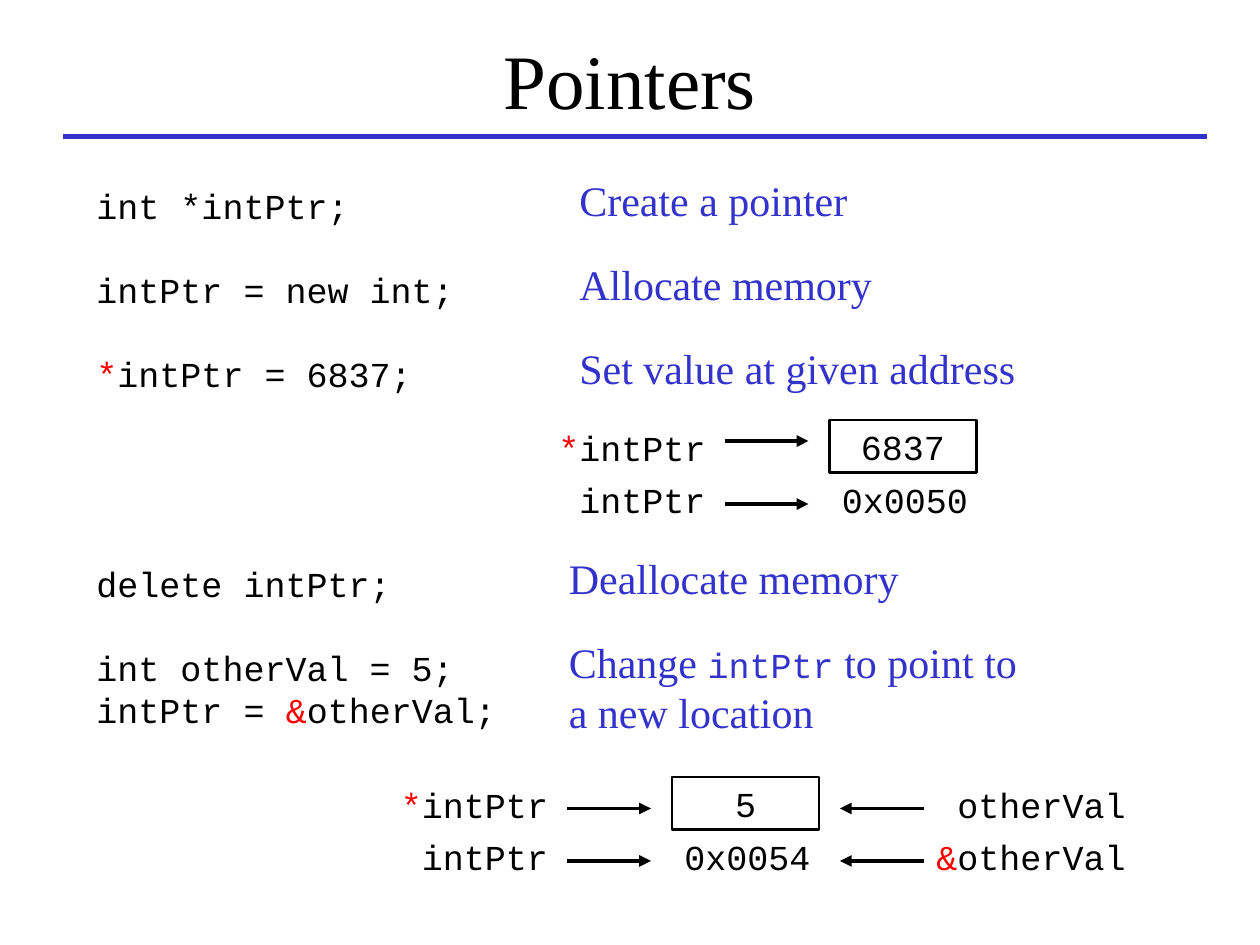
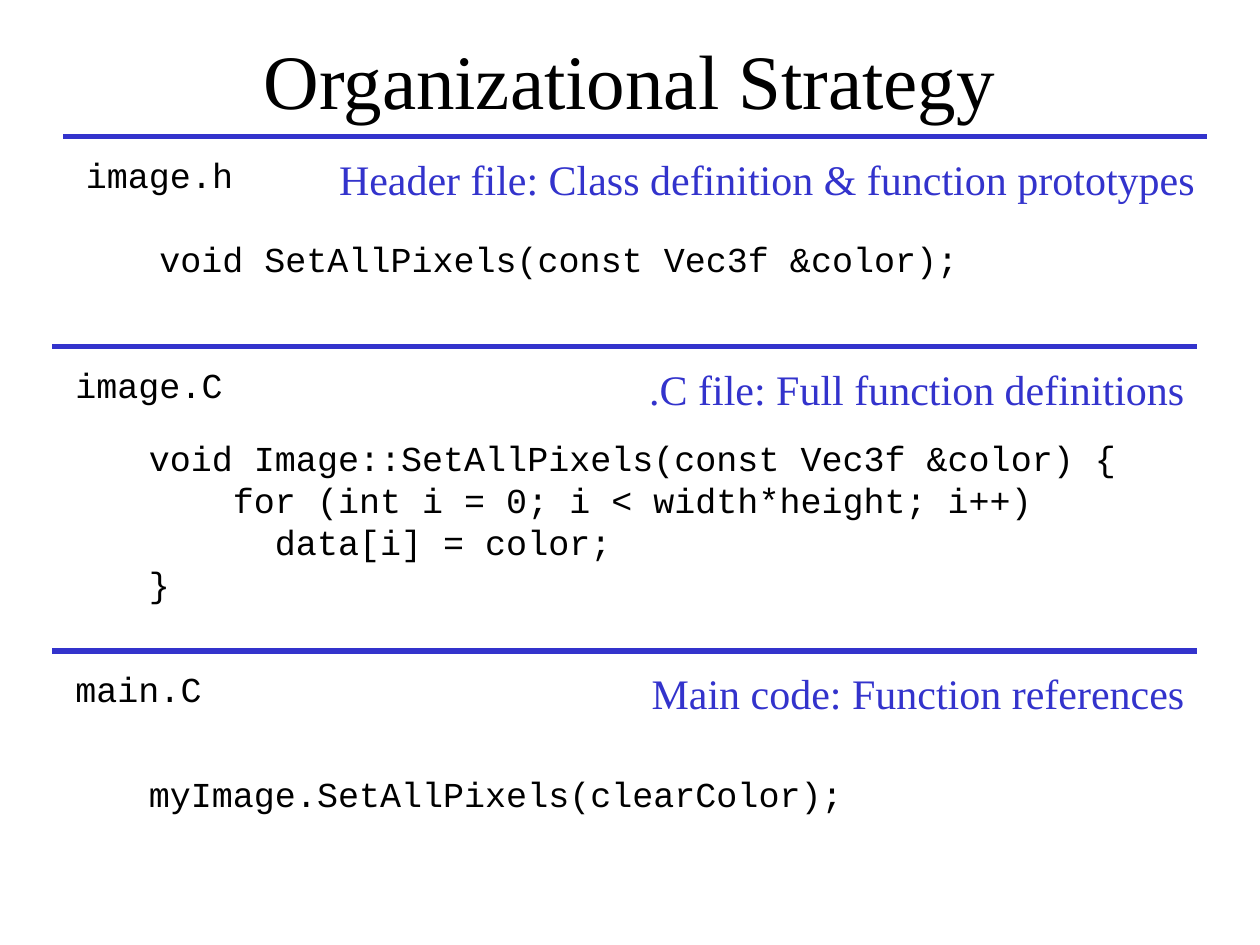
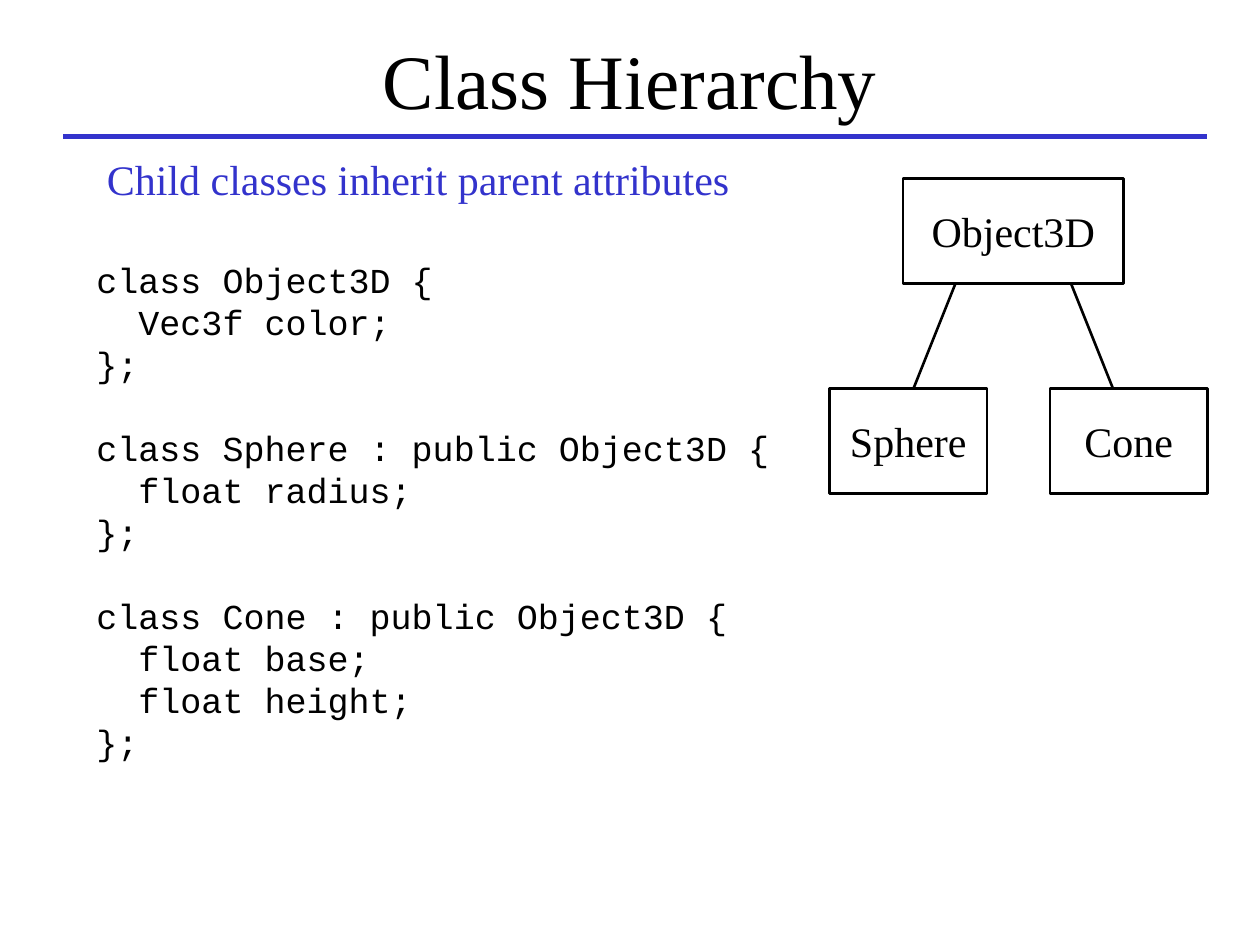
"""Builds three lecture slides on pointers, code organization and class hierarchy."""
import pptx
import pptx.dml.color
import pptx.enum.shapes
import pptx.enum.text
import pptx.util
import lxml.etree

Pt = pptx.util.Pt
RGB = pptx.dml.color.RGBColor
ALIGN = pptx.enum.text.PP_ALIGN
ANCHOR = pptx.enum.text.MSO_ANCHOR
NS = "http://schemas.openxmlformats.org/drawingml/2006/main"

COLORS = {"ink": "000000", "accent": "3333CC", "mark": "FF0000"}
STYLES = {
    "title": (44, "Times New Roman", "ink"),
    "note": (24, "Times New Roman", "accent"),
    "label": (24, "Times New Roman", "ink"),
    "code": (20, "Courier New", "ink"),
    "mark": (20, "Courier New", "mark"),
    "inline": (20, "Courier New", "accent"),
}
CODE_LINE = 24
DEREF = [("*", "mark"), ("intPtr", "code")]


def add_text(s, x, y, w, h, paras, style, align=ALIGN.LEFT, boxed=False):
    """Add text; an empty entry in paras opens a gap of one code line."""
    if boxed:
        sp = s.shapes.add_shape(pptx.enum.shapes.MSO_SHAPE.RECTANGLE, Pt(x), Pt(y), Pt(w), Pt(h))
        sp.shadow.inherit = False
        sp.fill.background()
        sp.line.color.rgb = RGB.from_string(COLORS["ink"])
        sp.line.width = Pt(1.5)
    else:
        sp = s.shapes.add_textbox(Pt(x), Pt(y), Pt(w), Pt(h))
    tf = sp.text_frame
    tf.word_wrap = not boxed
    tf.vertical_anchor = ANCHOR.MIDDLE if boxed or style == "title" else ANCHOR.TOP
    p, gap = None, 0
    for para in paras:
        if not para:
            gap += CODE_LINE
            continue
        p = tf.paragraphs[0] if p is None else tf.add_paragraph()
        p.alignment = align
        if gap:
            p.space_before = Pt(gap)
        gap = 0
        fonts = []
        if isinstance(para, str):
            p.add_run().text = para
            fonts.append((p.font, style))
        else:
            for text, run_style in para:
                r = p.add_run()
                r.text = text
                fonts.append((r.font, run_style))
        for font, name in fonts:
            size, font.name, color = STYLES[name]
            font.size = Pt(size)
            font.color.rgb = RGB.from_string(COLORS[color])


def add_line(s, x1, y1, x2, y2, color="ink", width=1.5, arrow=False):
    """Add a straight line, with an arrowhead at its end if asked."""
    c = s.shapes.add_connector(pptx.enum.shapes.MSO_CONNECTOR.STRAIGHT, Pt(x1), Pt(y1), Pt(x2), Pt(y2))
    c.line.color.rgb = RGB.from_string(COLORS[color])
    c.line.width = Pt(width)
    if arrow:
        lxml.etree.SubElement(c.line._get_or_add_ln(), f"{{{NS}}}tailEnd", type="triangle")
    lxml.etree.SubElement(c._element.spPr, f"{{{NS}}}effectLst")


prs = pptx.Presentation()
prs.slide_width, prs.slide_height = Pt(720), Pt(540)
slides = []
for title in ("Pointers", "Organizational Strategy", "Class Hierarchy"):
    s = prs.slides.add_slide(prs.slide_layouts[6])
    add_text(s, 54, 18, 612, 54, [title], "title", ALIGN.CENTER)
    add_line(s, 36, 78, 690, 78, "accent", 3)
    slides.append(s)
pointers, strategy, hierarchy = slides

add_text(pointers, 48, 102, 420, 320, [
    "int *intPtr;",
    "",
    "intPtr = new int;",
    "",
    [("*", "mark"), ("intPtr = 6837;", "code")],
    "", "", "", "",
    "delete intPtr;",
    "",
    "int otherVal = 5;",
    [("intPtr = ", "code"), ("&", "mark"), ("otherVal;", "code")],
], "code")
for x, y, w, h, paras in (
    (324, 96, 204, 36, ["Create a pointer"]),
    (324, 144, 204, 36, ["Allocate memory"]),
    (324, 192, 282, 36, ["Set value at given address"]),
    (318, 312, 204, 36, ["Deallocate memory"]),
    (318, 360, 282, 65, [
        [("Change ", "note"), ("intPtr", "inline"), (" to point to", "note")],
        "a new location",
    ]),
):
    add_text(pointers, x, y, w, h, paras, "note")

for x, y, value, address, arrow_ys in (
    (312, 240, "6837", "0x0050", (252, 288)),
    (222, 444, "5", "0x0054", (462, 492)),
):
    add_text(pointers, x + 162, y, 84, 30, [value], "code", ALIGN.CENTER, boxed=True)
    add_text(pointers, x, y, 102, 32, [DEREF], "code")
    add_text(pointers, x + 162, y + 30, 102, 32, [address], "code")
    add_text(pointers, x, y + 30, 102, 32, [" intPtr"], "code")
    for arrow_y in arrow_ys:
        add_line(pointers, x + 102, arrow_y, x + 150, arrow_y, width=2.25, arrow=True)

for y, arrow_y, para in (
    (444, 462, " otherVal"),
    (474, 492, [("&", "mark"), ("otherVal", "code")]),
):
    add_text(pointers, 528, y, 132, 32, [para], "code")
    add_line(pointers, 528, arrow_y, 480, arrow_y, width=2.25, arrow=True)

for y in (198, 372):
    add_line(strategy, 30, y, 684, y, "accent", 3)
for x, y, name, note, code_y, code in (
    (42, 84, "image.h", "Header file: Class definition & function prototypes", 132,
     ["void SetAllPixels(const Vec3f &color);"]),
    (36, 204, "image.C", ".C file: Full function definitions", 246, [
        "void Image::SetAllPixels(const Vec3f &color) {",
        "    for (int i = 0; i < width*height; i++)",
        "      data[i] = color;",
        "}",
    ]),
    (36, 378, "main.C", "Main code: Function references", 438,
     ["myImage.SetAllPixels(clearColor);"]),
):
    add_text(strategy, x, y, 126, 32, [name], "code")
    add_text(strategy, x + 126, y, 522, 36, [note], "note", ALIGN.RIGHT)
    add_text(strategy, x + 42, code_y, 612, 8 + CODE_LINE * len(code), code, "code")

add_text(hierarchy, 48, 144, 420, 320, [
    "class Object3D {",
    "  Vec3f color;",
    "};",
    "",
    "class Sphere : public Object3D {",
    "  float radius;",
    "};",
    "",
    "class Cone : public Object3D {",
    "  float base;",
    "  float height;",
    "};",
], "code")
add_text(hierarchy, 54, 84, 414, 36, ["Child classes inherit parent attributes"], "note")
for x, y, w, name in ((516, 102, 126, "Object3D"), (474, 222, 90, "Sphere"), (600, 222, 90, "Cone")):
    add_text(hierarchy, x, y, w, 60, [name], "label", ALIGN.CENTER, boxed=True)
for top_x, bottom_x in ((546, 522), (612, 636)):
    add_line(hierarchy, top_x, 162, bottom_x, 222)

prs.save("out.pptx")
